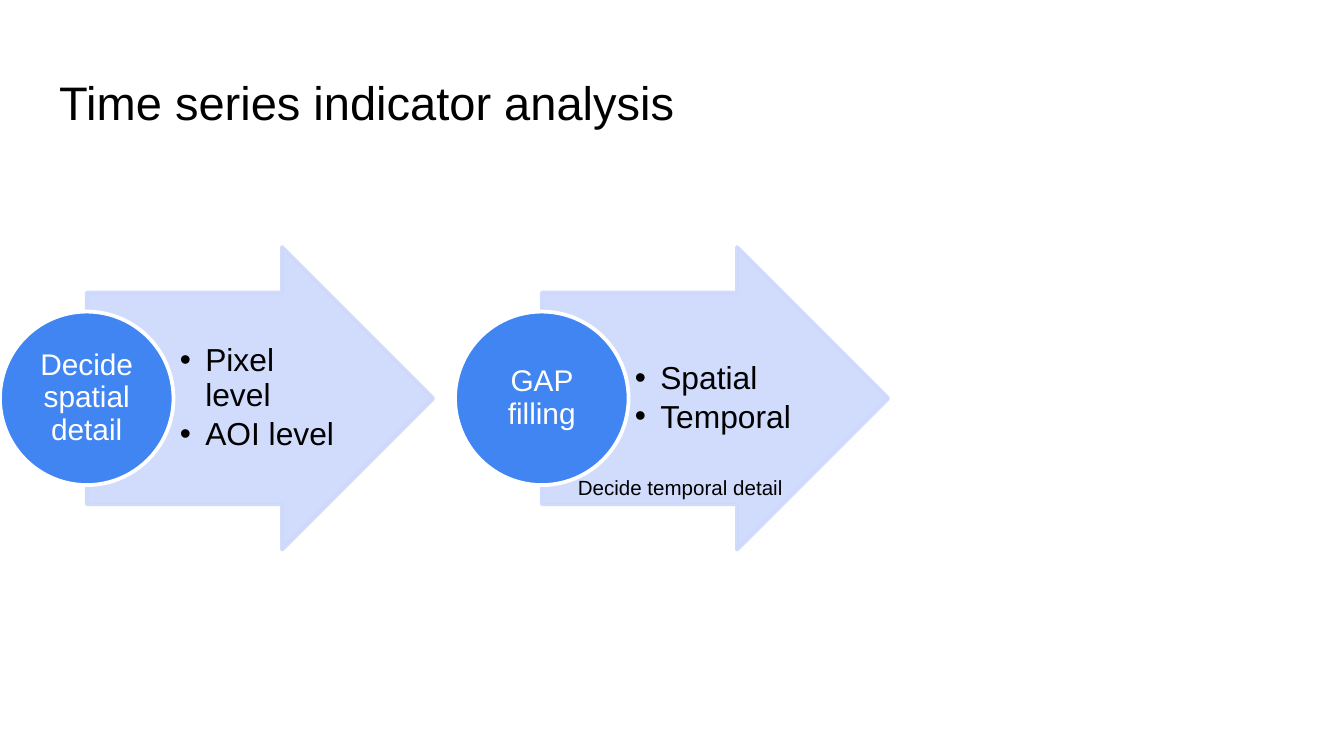
from lxml import etree
from pptx import Presentation
from pptx.dml.color import RGBColor
from pptx.enum.shapes import MSO_SHAPE
from pptx.enum.text import MSO_ANCHOR, PP_ALIGN
from pptx.oxml.ns import qn
from pptx.util import Cm, Pt

ARROW, CIRCLE = MSO_SHAPE.RIGHT_ARROW, MSO_SHAPE.OVAL
TOP, MIDDLE = MSO_ANCHOR.TOP, MSO_ANCHOR.MIDDLE
LEFT, CENTER = PP_ALIGN.LEFT, PP_ALIGN.CENTER

# Content
TITLE = "Time series indicator analysis"
STEPS = [
    ("Decide spatial detail", ["Pixel level", "AOI level"]),
    ("GAP filling", ["Spatial", "Temporal"]),
]
NOTE = "Decide temporal detail"

COLORS = {"arrow": "CDD8FB", "circle": "4185F2", "white": "FFFFFF", "text": "000000"}
FONT = "Arial"

# Layout in cm
STEP_PITCH = 8.6
MID_Y = 7.53
DIAMETER = 3.28
ARROW_W, ARROW_H = 6.55, 5.72
LABEL_SIDE = 2.31
BULLETS_W, BULLETS_H = 3.2, 4.01
BULLET_INDENT = 0.48


def add_shape(slide, kind, x, y, w, h, fill, line):
    sp = slide.shapes.add_shape(kind, Cm(x), Cm(y), Cm(w), Cm(h))
    sp.shadow.inherit = False
    sp.fill.solid()
    sp.fill.fore_color.rgb = RGBColor.from_string(COLORS[fill])
    sp.line.color.rgb = RGBColor.from_string(COLORS[line])
    sp.line.width = Pt(2)
    return sp


def add_text(slide, lines, x, y, w, h, size, color="text", insets=(0.03,) * 4,
             anchor=MIDDLE, align=LEFT, spacing=0.9, bullets=False):
    box = slide.shapes.add_textbox(Cm(x), Cm(y), Cm(w), Cm(h))
    tf = box.text_frame
    tf.word_wrap = True
    tf.vertical_anchor = anchor
    tf.margin_left, tf.margin_top, tf.margin_right, tf.margin_bottom = map(Cm, insets)
    for i, line in enumerate(lines):
        p = tf.paragraphs[0] if i == 0 else tf.add_paragraph()
        p.text = line
        p.alignment = align
        p.line_spacing = spacing
        if i:
            p.space_before = Pt(2.5)
        if bullets:
            add_bullet(p)
        for r in p.runs:
            r.font.name = FONT
            r.font.size = Pt(size)
            r.font.color.rgb = RGBColor.from_string(COLORS[color])


def add_bullet(p):
    p.level = 1
    pPr = p._p.get_or_add_pPr()
    pPr.set("marL", str(Cm(BULLET_INDENT)))
    pPr.set("indent", str(-Cm(BULLET_INDENT)))
    etree.SubElement(pPr, qn("a:buFont"), typeface=FONT)
    etree.SubElement(pPr, qn("a:buChar"), char="•")


def soften(sp):
    """Make fill and line 90 % opaque and round the line joins."""
    for clr in sp._element.spPr.iter(qn("a:srgbClr")):
        etree.SubElement(clr, qn("a:alpha"), val="90000")
    etree.SubElement(sp.line._get_or_add_ln(), qn("a:round"))


def add_step(slide, x, label, bullets):
    radius = DIAMETER / 2
    arrow = add_shape(slide, ARROW, x + radius, MID_Y - ARROW_H / 2,
                      ARROW_W, ARROW_H, "arrow", "arrow")
    arrow.adjustments[0], arrow.adjustments[1] = 0.7, 0.5
    soften(arrow)
    add_text(slide, bullets, x + DIAMETER, MID_Y - BULLETS_H / 2, BULLETS_W, BULLETS_H,
             17, insets=(0.12, 0.03, 0.06, 0.03), bullets=True)
    add_shape(slide, CIRCLE, x, MID_Y - radius, DIAMETER, DIAMETER, "circle", "white")
    add_text(slide, [label], x + (DIAMETER - LABEL_SIDE) / 2, MID_Y - LABEL_SIDE / 2,
             LABEL_SIDE, LABEL_SIDE, 16, color="white", align=CENTER)


def main():
    prs = Presentation()
    prs.slide_width, prs.slide_height = Cm(25.4), Cm(14.29)
    slide = prs.slides.add_slide(prs.slide_layouts[6])

    # Process steps
    for i, (label, bullets) in enumerate(STEPS):
        add_step(slide, i * STEP_PITCH, label, bullets)

    # Note and title
    add_text(slide, [NOTE], 10.67, 8.84, 5.16, 0.74, 11,
             insets=(0.25, 0.13, 0.25, 0.13), anchor=TOP, spacing=1.0)
    add_text(slide, [TITLE], 0.87, 1.14, 23.67, 1.6, 25.2,
             insets=(0.25,) * 4, anchor=TOP, spacing=1.0)

    prs.save("out.pptx")


if __name__ == "__main__":
    main()
